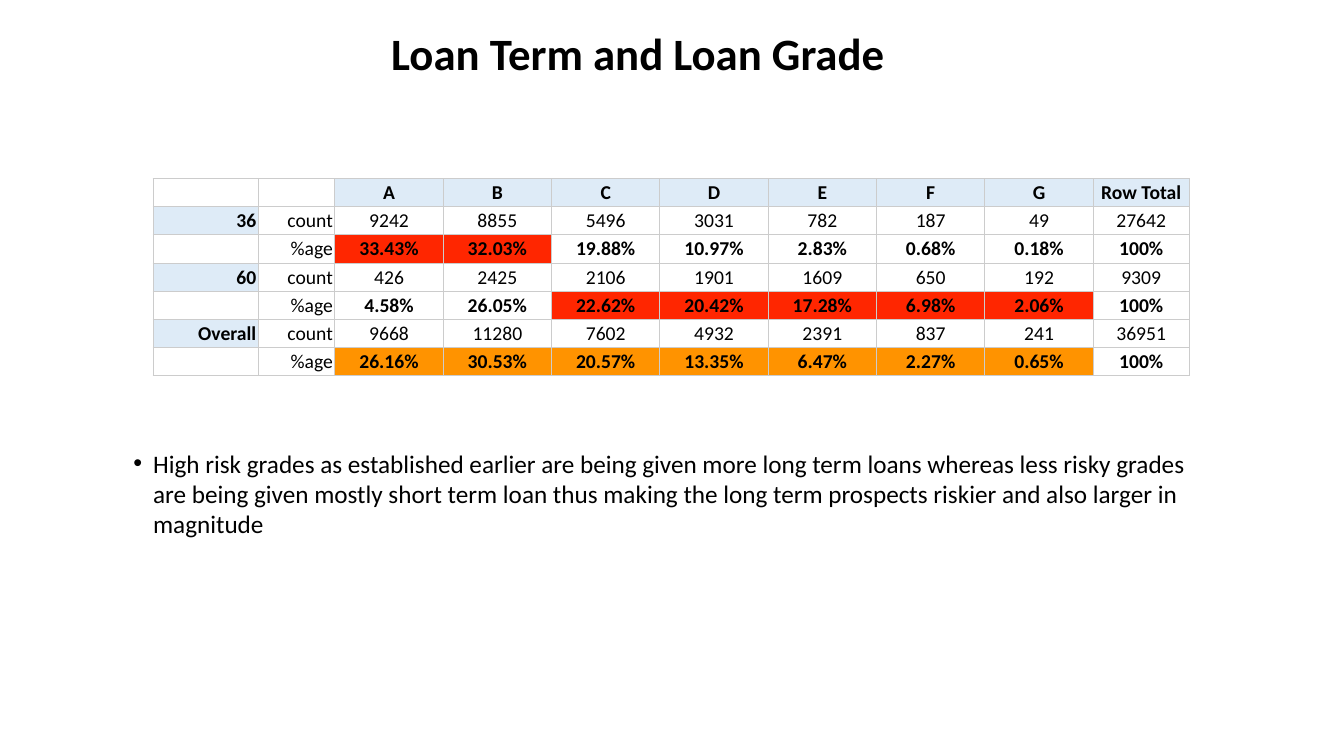
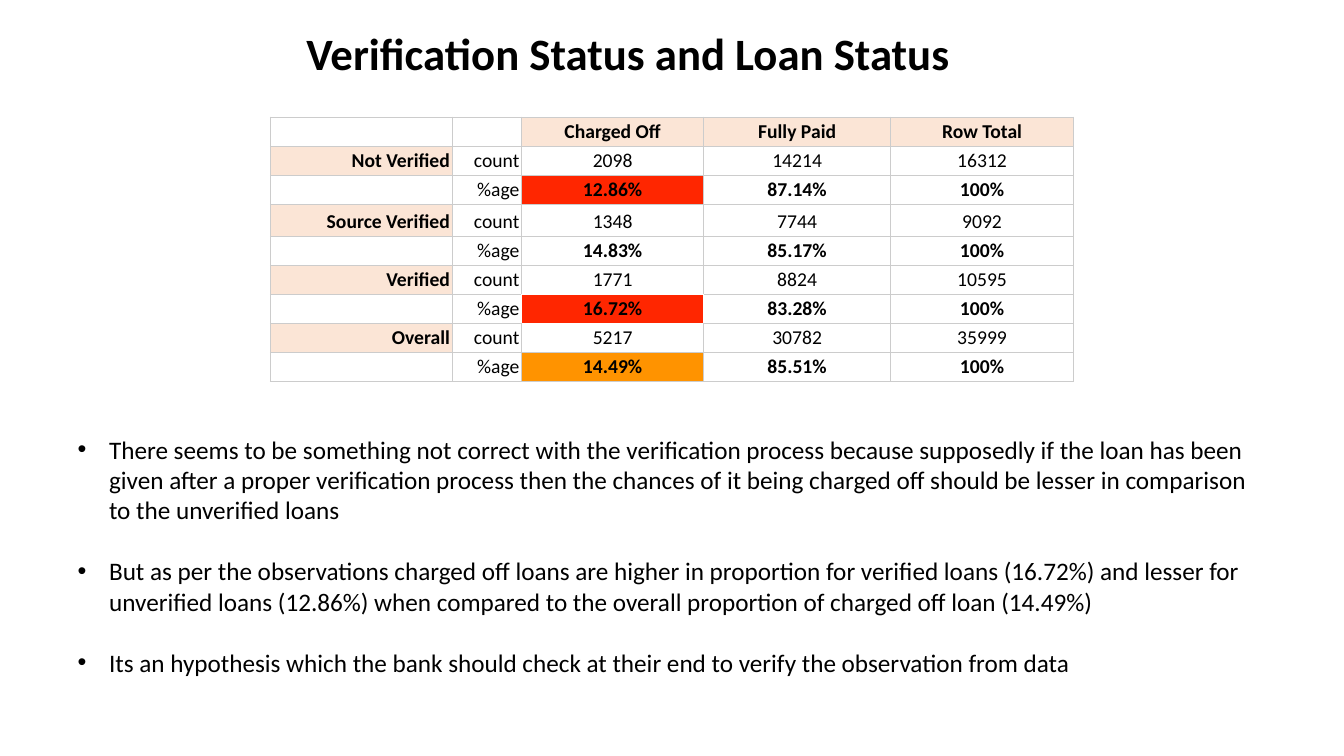
from lxml import etree
from pptx import Presentation
from pptx.dml.color import RGBColor
from pptx.enum.text import MSO_ANCHOR, PP_ALIGN
from pptx.oxml.ns import qn
from pptx.util import Cm, Pt

BOTTOM = MSO_ANCHOR.BOTTOM
LEFT, CENTER, RIGHT = PP_ALIGN.LEFT, PP_ALIGN.CENTER, PP_ALIGN.RIGHT
BLACK = RGBColor(0x00, 0x00, 0x00)
WHITE = RGBColor(0xFF, 0xFF, 0xFF)
GREY = RGBColor(0xCC, 0xCC, 0xCC)
BLUE = RGBColor(0xDE, 0xEB, 0xF7)
PEACH = RGBColor(0xFB, 0xE5, 0xD6)
RED = RGBColor(0xFF, 0x26, 0x00)
ORANGE = RGBColor(0xFF, 0x93, 0x00)
FONT = "Calibri"
TITLE_PT, BODY_PT, CELL_PT = 32, 18, 14
BORDER_SIDES = {"L": (0, -1), "R": (0, 1), "T": (-1, 0), "B": (1, 0)}


def add_run(p, text, size, bold=False):
    """Append a run in the deck font to a paragraph."""
    r = p.add_run()
    r.text = text
    for name, value in {"name": FONT, "size": Pt(size), "bold": bold}.items():
        setattr(r.font, name, value)
    r.font.color.rgb = BLACK


def add_text_frame(s, box):
    """Add a wrapping text box at left, top, width, height in cm."""
    tf = s.shapes.add_textbox(*map(Cm, box)).text_frame
    tf.word_wrap = True
    for side in ("left", "right", "top", "bottom"):
        setattr(tf, f"margin_{side}", Cm(0.13))
    return tf


def add_title(s, text, box):
    """Place the bold slide title."""
    p = add_text_frame(s, box).paragraphs[0]
    p.alignment, p.line_spacing = LEFT, 0.9
    add_run(p, text, TITLE_PT, True)


def add_bullets(s, texts, box, indent):
    """Place bulleted paragraphs with a line of space between them."""
    tf = add_text_frame(s, box)
    for i, text in enumerate(texts):
        p = tf.add_paragraph() if i else tf.paragraphs[0]
        p.space_before = Pt(22 if i else 0)
        pPr = p._p.get_or_add_pPr()
        pPr.set("marL", str(Cm(indent)))
        pPr.set("indent", str(-Cm(indent)))
        etree.SubElement(pPr, qn("a:buFont")).set("typeface", "Arial")
        etree.SubElement(pPr, qn("a:buChar")).set("char", "•")
        add_run(p, text, BODY_PT)


def set_borders(cell, position, white_cell):
    """Draw grey cell borders, white wherever they touch white_cell."""
    tcPr = cell._tc.get_or_add_tcPr()
    row, col = position
    for i, (side, (down, across)) in enumerate(BORDER_SIDES.items()):
        touching = white_cell in (position, (row + down, col + across))
        ln = etree.Element(qn(f"a:ln{side}"), w=str(Pt(0.75)))
        fill = etree.SubElement(ln, qn("a:solidFill"))
        color = etree.SubElement(fill, qn("a:srgbClr"))
        color.set("val", str(WHITE if touching else GREY))
        tcPr.insert(i, ln)


def fill_cell(cell, text, align, bold, fill):
    """Write and format one table cell."""
    cell.vertical_anchor = BOTTOM
    for side in ("left", "right", "top", "bottom"):
        setattr(cell, f"margin_{side}", Cm(0.05))
    p = cell.text_frame.paragraphs[0]
    p.alignment = align
    if text:
        add_run(p, text, CELL_PT, bold)
    else:
        p._p.get_or_add_endParaRPr().set("sz", str(CELL_PT * 100))
    if fill is None:
        cell.fill.background()
    else:
        cell.fill.solid()
        cell.fill.fore_color.rgb = fill


def add_crosstab(s, origin, widths, heights, headers, groups, tint, white_cell=None):
    """Place a table with a count row and a percentage row per group."""
    rows = [["", "", *headers]]
    marks = {}
    for label, counts, shares, color, marked in groups:
        rows.append([label, "count", *counts.split()])
        marks.update({(len(rows), col + 2): color for col in marked})
        rows.append(["", "%age", *shares.split(), "100%"])
    frame = s.shapes.add_table(len(rows), len(widths), *map(Cm, origin),
                               Cm(sum(widths)), Cm(sum(heights)))
    table = frame.table
    table.first_row = table.horz_banding = False
    for column, width in zip(table.columns, widths):
        column.width = Cm(width)
    for row, height in zip(table.rows, heights):
        row.height = Cm(height)
    for i, row in enumerate(rows):
        for j, text in enumerate(row):
            heading = bool(text) and (i == 0 or j == 0)
            bold = heading or (j > 1 and i % 2 == 0)
            fill = tint if heading else marks.get((i, j))
            cell = table.cell(i, j)
            fill_cell(cell, text, RIGHT if j < 2 else CENTER, bold, fill)
            set_borders(cell, (i, j), white_cell)


def build_grade_slide(prs):
    """Build the slide on loan term and loan grade."""
    s = prs.slides.add_slide(prs.slide_layouts[6])
    groups = [
        ("36", "9242 8855 5496 3031 782 187 49 27642",
         "33.43% 32.03% 19.88% 10.97% 2.83% 0.68% 0.18%", RED, range(2)),
        ("60", "426 2425 2106 1901 1609 650 192 9309",
         "4.58% 26.05% 22.62% 20.42% 17.28% 6.98% 2.06%", RED, range(2, 7)),
        ("Overall", "9668 11280 7602 4932 2391 837 241 36951",
         "26.16% 30.53% 20.57% 13.35% 6.47% 2.27% 0.65%", ORANGE, range(7)),
    ]
    add_crosstab(s, (3.86, 4.5), [2.65, 1.93] + [2.73] * 7 + [2.42], [0.71] * 7,
                 [*"ABCDEFG", "Row Total"], groups, BLUE)
    add_title(s, "Loan Term and Loan Grade", (9.73, 0.66, 14.4, 1.55))
    add_bullets(s, [
        "High risk grades as established earlier are being given more long term "
        "loans whereas less risky grades are being given mostly short term loan "
        "thus making the long term prospects riskier and also larger in magnitude",
    ], (3.23, 11.16, 27.41, 3.19), 0.5)


def build_verification_slide(prs):
    """Build the slide on verification status and loan status."""
    s = prs.slides.add_slide(prs.slide_layouts[6])
    groups = [
        ("Not Verified", "2098 14214 16312", "12.86% 87.14%", RED, [0]),
        ("Source Verified", "1348 7744 9092", "14.83% 85.17%", None, []),
        ("Verified", "1771 8824 10595", "16.72% 83.28%", RED, [0]),
        ("Overall", "5217 30782 35999", "14.49% 85.51%", ORANGE, [0]),
    ]
    add_crosstab(s, (6.81, 2.95), [4.58, 1.75, 4.6, 4.7, 4.62],
                 [0.73] * 3 + [0.81] + [0.73] * 5,
                 ["Charged Off", "Fully Paid", "Row Total"], groups, PEACH, (6, 2))
    add_bullets(s, [
        "There seems to be something not correct with the verification process "
        "because supposedly if the loan has been given after a proper verification "
        "process then the chances of it being charged off should be lesser in "
        "comparison to the unverified loans",
        "But as per the observations charged off loans are higher in proportion for "
        "verified loans (16.72%) and lesser for unverified loans (12.86%) when "
        "compared to the overall proportion of charged off loan (14.49%)",
        "Its an hypothesis which the bank should check at their end to verify the "
        "observation from data",
    ], (1.83, 10.81, 30.18, 7.63), 0.79)
    add_title(s, "Verification Status and Loan Status", (7.59, 0.66, 18.69, 1.55))


def main():
    """Build and save the deck."""
    prs = Presentation()
    prs.slide_width, prs.slide_height = Cm(33.87), Cm(19.05)
    build_grade_slide(prs)
    build_verification_slide(prs)
    prs.save("out.pptx")


main()
